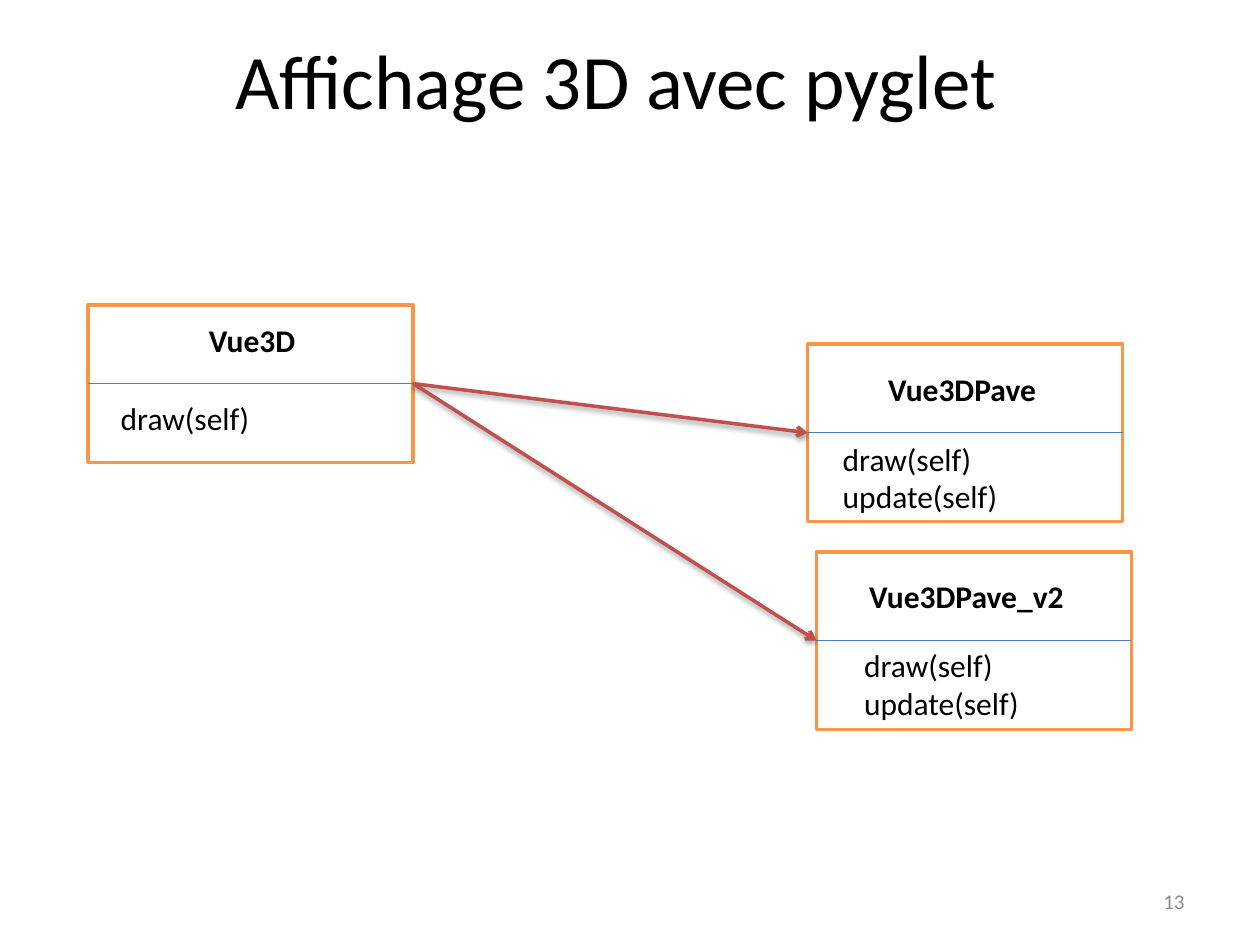
from dataclasses import dataclass

from lxml import etree
from pptx import Presentation
from pptx import util as u
from pptx.dml import color
from pptx.enum import shapes, text
from pptx.oxml import ns


@dataclass(frozen=True)
class Theme:
    """Colours, font and type sizes of the slide."""
    ink: str = "000000"
    paper: str = "FFFFFF"
    border: str = "F79646"
    divider: str = "4B7EBC"
    arrow: str = "C0504D"
    muted: str = "8C8C8C"
    font: str = "Calibri"
    title: int = 44
    body: int = 18
    footer: int = 12


@dataclass(frozen=True)
class ClassCard:
    """A class with its box, and its labels as left, top and width in that box."""
    name: str
    methods: str
    box: tuple
    name_at: tuple
    methods_at: tuple


THEME = Theme()
PARENT = ClassCard("Vue3D", "draw(self)", (0.7, 2.42, 2.58, 1.25),
                   (0.86, 0.08, 0.89), (0.16, 0.7, 1.28))
CHILDREN = [
    ClassCard("Vue3DPave", "draw(self)\nupdate(self)", (6.41, 2.73, 2.5, 1.41),
              (0.54, 0.16, 1.39), (0.18, 0.71, 1.47)),
    ClassCard("Vue3DPave_v2", "draw(self)\nupdate(self)", (6.48, 4.38, 2.5, 1.41),
              (0.32, 0.15, 1.79), (0.28, 0.7, 1.76)),
]
LEFT_SITE, RIGHT_SITE = 1, 3


def inches(*lengths):
    """Convert lengths in inches to slide units."""
    return [u.Inches(length) for length in lengths]


def rgb(code):
    """Turn a hex code into a colour."""
    return color.RGBColor.from_string(code)


def style(frame, size, ink=THEME.ink, bold=False, align=text.PP_ALIGN.LEFT):
    """Format every run of a text frame."""
    for paragraph in frame.paragraphs:
        paragraph.alignment = align
        for run in paragraph.runs:
            run.font.name = THEME.font
            run.font.size = u.Pt(size)
            run.font.bold = bold
            run.font.color.rgb = rgb(ink)


def add_label(slide, words, box, size, **look):
    """Place a formatted label in a box."""
    frame = slide.shapes.add_textbox(*inches(*box)).text_frame
    frame.word_wrap = True
    frame.text = words
    style(frame, size, **look)
    return frame


def add_line(slide, ends, ink, width):
    """Draw a straight line without effects and return it with its effect list."""
    line = slide.shapes.add_connector(shapes.MSO_CONNECTOR.STRAIGHT, *inches(*ends))
    line.line.color.rgb = rgb(ink)
    line.line.width = u.Pt(width)
    effects = etree.SubElement(line._element.spPr, ns.qn("a:effectLst"))
    return line, effects


def add_title(slide, words, box):
    """Fill and place the title placeholder."""
    title = slide.shapes.title
    title.left, title.top, title.width, title.height = inches(*box)
    title.text_frame.text = words
    title.text_frame.vertical_anchor = text.MSO_ANCHOR.MIDDLE
    style(title.text_frame, THEME.title, align=text.PP_ALIGN.CENTER)


def add_class(slide, card):
    """Draw a class card split at half height and return its frame."""
    left, top, width, height = card.box
    outline = slide.shapes.add_shape(shapes.MSO_SHAPE.RECTANGLE, *inches(*card.box))
    outline.shadow.inherit = False
    outline.fill.solid()
    outline.fill.fore_color.rgb = rgb(THEME.paper)
    outline.line.color.rgb = rgb(THEME.border)
    outline.line.width = u.Pt(2)
    middle = top + height / 2
    add_line(slide, (left, middle, left + width, middle), THEME.divider, 0.75)
    for words, (dx, dy, label_width), bold in (
            (card.name, card.name_at, True), (card.methods, card.methods_at, False)):
        label_height = 0.4 + 0.31 * words.count("\n")
        frame = add_label(slide, words, (left + dx, top + dy, label_width, label_height),
                          THEME.body, bold=bold)
        frame.word_wrap = False
    return outline


def add_arrow(slide, source, target):
    """Join two class cards with a shadowed arrow."""
    arrow, effects = add_line(slide, (0, 0, 1, 1), THEME.arrow, 2)
    arrow.begin_connect(source, RIGHT_SITE)
    arrow.end_connect(target, LEFT_SITE)
    etree.SubElement(arrow.line._get_or_add_ln(), ns.qn("a:tailEnd"), type="arrow")
    shadow = etree.SubElement(effects, ns.qn("a:outerShdw"), blurRad=str(u.Pt(3.1)),
                              dist=str(u.Pt(1.6)), dir="5400000", rotWithShape="0")
    tint = etree.SubElement(shadow, ns.qn("a:srgbClr"), val=THEME.ink)
    etree.SubElement(tint, ns.qn("a:alpha"), val="38000")


def add_page_number(slide, number, box):
    """Place the page number at the right of its box."""
    frame = add_label(slide, number, box, THEME.footer, ink=THEME.muted,
                      align=text.PP_ALIGN.RIGHT)
    frame.vertical_anchor = text.MSO_ANCHOR.MIDDLE


def build():
    """Build and save the slide."""
    deck = Presentation()
    deck.slide_width, deck.slide_height = inches(10, 7.5)
    slide = deck.slides.add_slide(deck.slide_layouts.get_by_name("Title Only"))
    add_title(slide, "Affichage 3D avec pyglet", (0.39, 0, 9, 1.25))
    add_page_number(slide, "13", (7.17, 6.95, 2.33, 0.4))
    parent = add_class(slide, PARENT)
    for card in CHILDREN:
        add_arrow(slide, parent, add_class(slide, card))
    deck.save("out.pptx")


build()
